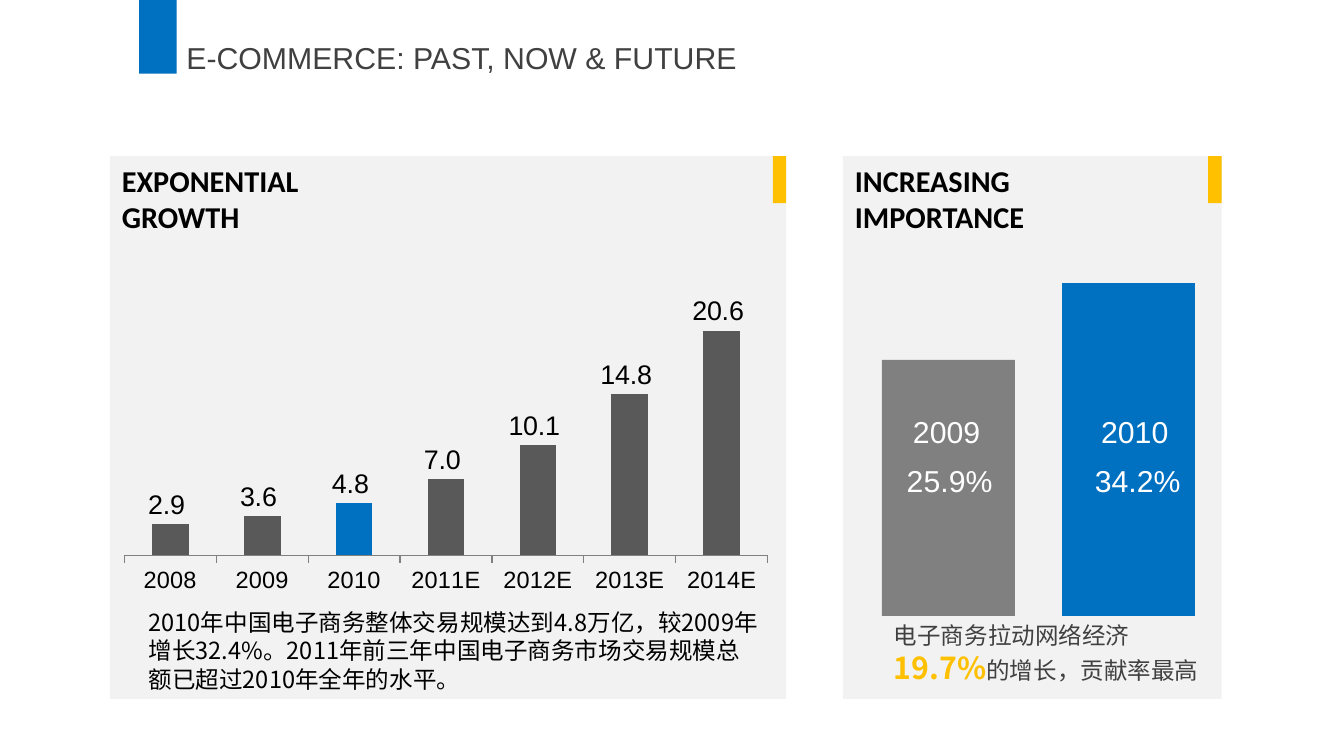
"""Build the e-commerce growth slide."""
from lxml.etree import SubElement as Sub
from pptx import Presentation
from pptx.chart.data import CategoryChartData as Data
from pptx.dml.color import RGBColor as RGB
from pptx.enum.chart import XL_CHART_TYPE as Kind, XL_LABEL_POSITION as Spot, XL_TICK_MARK as Tick
from pptx.enum.shapes import MSO_SHAPE as Form
from pptx.enum.text import MSO_ANCHOR as Anchor, MSO_AUTO_SIZE as Auto, PP_ALIGN as Align
from pptx.oxml.ns import qn
from pptx.util import Cm, Pt

BLUE = RGB(0x00, 0x70, 0xC0)
GOLD = RGB(0xFF, 0xC0, 0x00)
PALE = RGB(0xF2, 0xF2, 0xF2)
GREY = RGB(0x80, 0x80, 0x80)
DARK = RGB(0x59, 0x59, 0x59)
INK = RGB(0x40, 0x40, 0x40)
BLACK = RGB(0x00, 0x00, 0x00)
WHITE = RGB(0xFF, 0xFF, 0xFF)
HAN = "Noto Sans CJK SC"
TOP = 3.28


def write(para, text, size=18, color=BLACK, face="Arial", bold=False):
    run = para.add_run()
    run.text = text
    font = run.font
    font.size, font.bold, font.name = Pt(size), bold, face
    font.color.rgb = color
    Sub(font._element, qn("a:ea")).set("typeface", face)


def add_rect(slide, color, *place):
    rect = slide.shapes.add_shape(Form.RECTANGLE, *map(Cm, place))
    rect.shadow.inherit = False
    rect.fill.solid()
    rect.fill.fore_color.rgb = color
    rect.line.fill.background()


def add_box(slide, place, lines, wrap=True, **style):
    frame = slide.shapes.add_textbox(*map(Cm, place)).text_frame
    frame.word_wrap = wrap
    for i, line in enumerate(lines):
        para = frame.add_paragraph() if i else frame.paragraphs[0]
        write(para, line, **style)
    return frame


def add_title(slide, text):
    title = slide.shapes.title
    title.left, title.top, title.width, title.height = map(Cm, (3.66, 0.69, 12.8, 1.02))
    frame = title.text_frame
    frame.auto_size, frame.vertical_anchor = Auto.NONE, Anchor.TOP
    frame.paragraphs[0].alignment = Align.LEFT
    write(frame.paragraphs[0], text, color=INK)


def add_panel(slide, left, width, *lines):
    tab = 0.28
    add_rect(slide, PALE, left, TOP, width, 11.4)
    add_rect(slide, GOLD, left + width - tab, TOP, tab, 0.99)
    add_box(slide, (left, TOP, width - tab, 1.8), lines, face="Calibri", bold=True)


def set_plot(chart, **sides):
    area = chart._chartSpace.chart.plotArea
    for old in area.findall(qn("c:layout")):
        area.remove(old)
    layout = Sub(area, qn("c:layout"))
    area.insert(0, layout)
    manual = Sub(layout, qn("c:manualLayout"))
    parts = {"layoutTarget": "inner", "xMode": "edge", "yMode": "edge", **sides}
    for name, value in parts.items():
        Sub(manual, qn("c:" + name)).set("val", str(value))


def add_growth(slide):
    data = Data(number_format="0.0_ ")
    data.categories = ["2008", "2009", "2010", "2011E", "2012E", "2013E", "2014E"]
    data.add_series("Series 1", (2.9, 3.6, 4.8, 7, 10.1, 14.8, 20.6))
    place = map(Cm, (2.31, 5.94, 15.82, 8.79))
    chart = slide.shapes.add_chart(Kind.COLUMN_CLUSTERED, *place, data).chart
    chart.has_legend = chart.has_title = False
    chart.font.size, chart.font.name = Pt(18), "Arial"
    chart.font.color.rgb = BLACK
    set_plot(chart, x=0.019, y=0, w=0.854, h=0.652)
    axis = chart.value_axis
    axis.minimum_scale, axis.maximum_scale = 0, 25
    axis.has_major_gridlines = axis.visible = False
    base = chart.category_axis
    base.major_tick_mark = Tick.OUTSIDE
    base.tick_labels.font.size = Pt(14)
    base.format.line.color.rgb = GREY
    plot = chart.plots[0]
    plot.gap_width, plot.vary_by_categories = 150, False
    bars = plot.series[0]
    for part, color in ((bars, DARK), (bars.points[2], BLUE)):
        part.format.fill.solid()
        part.format.fill.fore_color.rgb = color
    plot.has_data_labels = True
    labels = plot.data_labels
    labels.show_value, labels.position = True, Spot.OUTSIDE_END
    labels.number_format, labels.number_format_is_linked = "0.0_ ", False
    labels.font.size = Pt(16)


def add_share(slide, color, left, height, year, share, inset):
    add_rect(slide, color, left, 12.94 - height, 2.79, height)
    add_box(slide, (left + inset, 8.56, 2.79, 1.02), [year], color=WHITE)
    add_box(slide, (left + inset - 0.13, 9.59, 2.34, 1.02), [share], wrap=False, color=WHITE)


def main():
    deck = Presentation()
    deck.slide_width, deck.slide_height = Cm(28.22), Cm(15.88)
    slide = deck.slides.add_slide(deck.slide_layouts[5])
    add_rect(slide, BLUE, 2.92, 0, 0.79, 1.55)
    add_title(slide, "E-COMMERCE: PAST, NOW & FUTURE")
    add_panel(slide, 2.31, 14.2, "EXPONENTIAL", "GROWTH")
    add_panel(slide, 17.7, 7.95, "INCREASING", "IMPORTANCE")
    add_growth(slide)
    add_share(slide, GREY, 18.52, 5.38, "2009", "25.9%", 0.4)
    add_share(slide, BLUE, 22.3, 6.99, "2010", "34.2%", 0.57)
    note = "2010年中国电子商务整体交易规模达到4.8万亿，较2009年增长32.4%。2011年前三年中国电子商务市场交易规模总额已超过2010年全年的水平。"
    add_box(slide, (2.87, 12.65, 13.31, 2.06), [note], size=14, face=HAN)
    place = (18.52, 12.93, 7.16, 1.63)
    frame = add_box(slide, place, ["电子商务拉动网络经济"], size=14, color=INK, face=HAN)
    para = frame.paragraphs[0]
    write(para, "19.7%", color=GOLD, face=HAN, bold=True)
    write(para, "的增长，贡献率最高", size=14, color=INK, face=HAN)
    deck.save("out.pptx")


if __name__ == "__main__":
    main()
